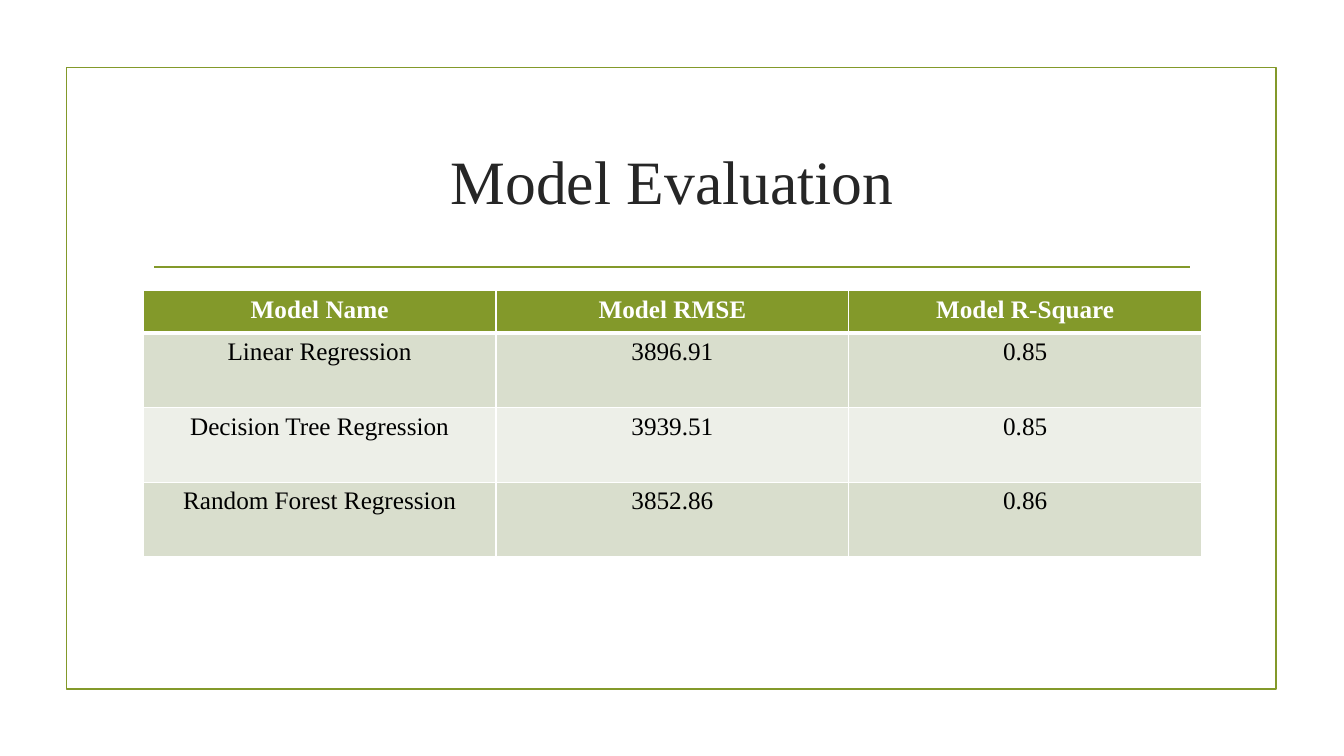
from typing import NamedTuple

from lxml import etree
from pptx import Presentation
from pptx.dml.color import RGBColor
from pptx.enum.shapes import MSO_CONNECTOR, MSO_SHAPE
from pptx.enum.text import MSO_ANCHOR, PP_ALIGN
from pptx.oxml.ns import qn
from pptx.slide import Slide
from pptx.table import _Cell
from pptx.text.text import TextFrame
from pptx.util import Cm, Pt

RECTANGLE = MSO_SHAPE.RECTANGLE
STRAIGHT = MSO_CONNECTOR.STRAIGHT
CENTER = PP_ALIGN.CENTER
MIDDLE = MSO_ANCHOR.MIDDLE

OLIVE = RGBColor(0x83, 0x99, 0x2A)
DARK_BAND = RGBColor(0xD9, 0xDE, 0xCD)
LIGHT_BAND = RGBColor(0xED, 0xEF, 0xE8)
CHARCOAL = RGBColor(0x26, 0x26, 0x26)
BLACK = RGBColor(0, 0, 0)
WHITE = RGBColor(0xFF, 0xFF, 0xFF)

FONT = "Times New Roman"
TITLE_ONLY = 5
RULE_WIDTH = Pt(1.25)
CONTENT_LEFT, CONTENT_WIDTH = Cm(3.61), Cm(26.67)
TABLE_TOP = Cm(7.32)
HEADER_HEIGHT, ROW_HEIGHT = Cm(1.07), Cm(1.88)


class ModelScore(NamedTuple):
    name: str
    rmse: str
    r_square: str


HEADINGS = ModelScore("Model Name", "Model RMSE", "Model R-Square")
SCORES = [
    ModelScore("Linear Regression", "3896.91", "0.85"),
    ModelScore("Decision Tree Regression", "3939.51", "0.85"),
    ModelScore("Random Forest Regression", "3852.86", "0.86"),
]


def set_text(frame: TextFrame, text: str, size: float, color: RGBColor,
             bold: bool = False) -> None:
    frame.text = text
    para = frame.paragraphs[0]
    para.alignment = CENTER
    font = para.runs[0].font
    font.name, font.size, font.bold = FONT, Pt(size), bold
    font.color.rgb = color


def set_borders(cell: _Cell, top: float, bottom: float) -> None:
    """Draw white borders, with the top and bottom widths in points."""
    properties = cell._tc.get_or_add_tcPr()
    widths = {"lnL": 1, "lnR": 1, "lnT": top, "lnB": bottom}
    for position, (side, width) in enumerate(widths.items()):
        line = etree.Element(qn(f"a:{side}"), w=str(Pt(width)))
        fill = etree.SubElement(line, qn("a:solidFill"))
        etree.SubElement(fill, qn("a:srgbClr"), val=str(WHITE))
        properties.insert(position, line)


def add_frame(page: Slide) -> None:
    frame = page.shapes.add_shape(RECTANGLE, Cm(1.68), Cm(1.7), Cm(30.48), Cm(15.67))
    frame.shadow.inherit = False
    frame.fill.background()
    frame.line.color.rgb = OLIVE
    frame.line.width = RULE_WIDTH


def add_title_rule(page: Slide) -> None:
    rule = page.shapes.add_connector(STRAIGHT, Cm(3.89), Cm(6.73), Cm(30), Cm(6.73))
    rule.line.color.rgb = OLIVE
    rule.line.width = RULE_WIDTH
    etree.SubElement(rule._element.spPr, qn("a:effectLst"))


def set_title(page: Slide, text: str) -> None:
    title = page.shapes.title
    title.left, title.top = CONTENT_LEFT, Cm(2.72)
    title.width, title.height = CONTENT_WIDTH, Cm(3.63)
    set_text(title.text_frame, text, 44, CHARCOAL)
    title.text_frame.vertical_anchor = MIDDLE


def add_score_table(page: Slide) -> None:
    rows = [HEADINGS, *SCORES]
    height = HEADER_HEIGHT + ROW_HEIGHT * len(SCORES)
    table = page.shapes.add_table(len(rows), len(HEADINGS), CONTENT_LEFT,
                                  TABLE_TOP, CONTENT_WIDTH, height).table
    for row_index, score in enumerate(rows):
        is_header = row_index == 0
        table.rows[row_index].height = HEADER_HEIGHT if is_header else ROW_HEIGHT
        band = DARK_BAND if row_index % 2 else LIGHT_BAND
        for column_index, text in enumerate(score):
            cell = table.cell(row_index, column_index)
            cell.fill.solid()
            cell.fill.fore_color.rgb = OLIVE if is_header else band
            set_text(cell.text_frame, text, 18, WHITE if is_header else BLACK, is_header)
            set_borders(cell, top=3 if row_index == 1 else 1, bottom=3 if is_header else 1)


def main() -> None:
    deck = Presentation()
    deck.slide_width, deck.slide_height = Cm(33.87), Cm(19.05)
    page = deck.slides.add_slide(deck.slide_layouts[TITLE_ONLY])
    add_frame(page)
    add_title_rule(page)
    set_title(page, "Model Evaluation")
    add_score_table(page)
    deck.save("out.pptx")


if __name__ == "__main__":
    main()
